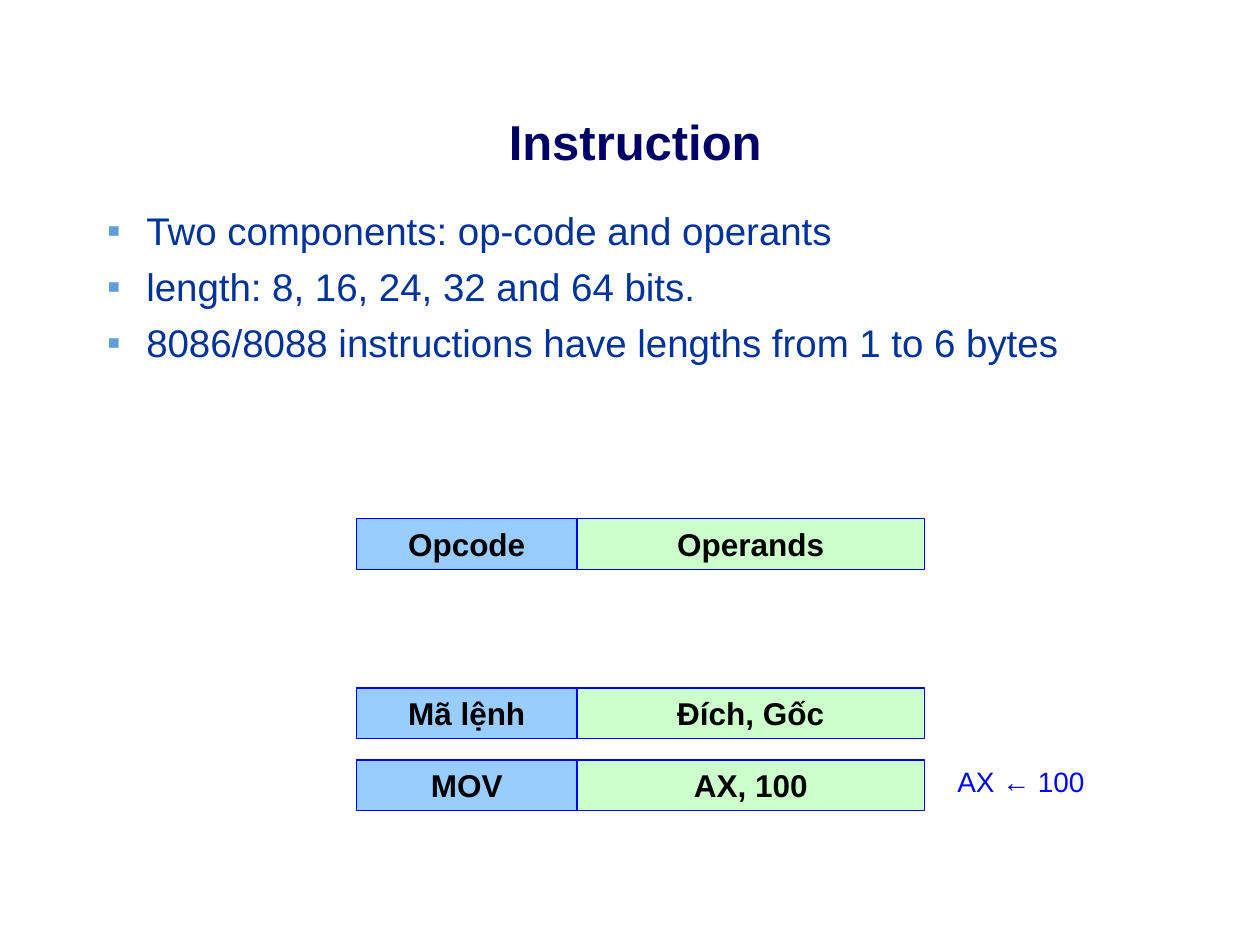
import pptx
import pptx.dml.color
import pptx.enum.shapes
import pptx.enum.text
import pptx.oxml.ns
import pptx.util
from lxml import etree
from pptx.util import Cm, Pt

ANCHOR = pptx.enum.text.MSO_ANCHOR
ALIGN = pptx.enum.text.PP_ALIGN

TITLE_FORMAT = {"name": "Arial", "size": Pt(28), "bold": True}
BULLET_FORMAT = {"name": "Arial", "size": Pt(22), "bold": False}
CELL_FORMAT = {"name": "Arial", "size": Pt(18), "bold": True}
NOTE_FORMAT = {"name": "Arial", "size": Pt(16), "bold": False}

BULLETS = [
    "Two components: op-code and operants",
    "length: 8, 16, 24, 32 and 64 bits.",
    "8086/8088 instructions have lengths from 1 to 6 bytes",
]

# Top in cm, opcode text, operand text
INSTRUCTION_ROWS = [
    (10.46, "Opcode", "Operands"),
    (13.87, "Mã lệnh", "Đích, Gốc"),
    (15.32, "MOV", "AX, 100"),
]
OPCODE_LEFT, OPCODE_WIDTH, OPERAND_WIDTH, ROW_HEIGHT = 7.19, 4.44, 7.01, 1.02


def rgb(value):
    return pptx.dml.color.RGBColor.from_string(value)


def write(para, text, font_format, color, align=ALIGN.LEFT):
    para.alignment = align
    span = para.add_run()
    span.text = text
    for name, value in font_format.items():
        setattr(span.font, name, value)
    span.font.color.rgb = rgb(color)


def add_title(page, text):
    title = page.shapes.title
    place = {"left": Cm(0.64), "top": Cm(2.11), "width": Cm(24.33), "height": Cm(1.45)}
    for name, value in place.items():
        setattr(title, name, value)
    title.text_frame.vertical_anchor = ANCHOR.MIDDLE
    write(title.text_frame.paragraphs[0], text, TITLE_FORMAT, "000066", ALIGN.CENTER)


def add_text_box(page, left, top, width, height):
    box = page.shapes.add_textbox(Cm(left), Cm(top), Cm(width), Cm(height))
    box.text_frame.word_wrap = True
    return box.text_frame


def set_bullet(para, character, color):
    properties = para._p.get_or_add_pPr()
    properties.set("marL", str(Cm(2.06)))
    properties.set("indent", str(-Cm(0.79)))
    qn = pptx.oxml.ns.qn
    bullet_color = etree.SubElement(properties, qn("a:buClr"))
    etree.SubElement(bullet_color, qn("a:srgbClr"), val=color)
    etree.SubElement(properties, qn("a:buFont"), typeface="Arial")
    etree.SubElement(properties, qn("a:buChar"), char=character)


def add_bullets(page, texts):
    frame = add_text_box(page, 0.64, 4.05, 24.33, 6.15)
    for index, text in enumerate(texts):
        para = frame.add_paragraph() if index else frame.paragraphs[0]
        set_bullet(para, "▪", "5E9CDA")
        if index:
            para.space_before = Pt(5.5)
        write(para, text, BULLET_FORMAT, "003399")


def add_cell(page, left, top, width, text, fill):
    cell = page.shapes.add_shape(
        pptx.enum.shapes.MSO_SHAPE.RECTANGLE,
        Cm(left), Cm(top), Cm(width), Cm(ROW_HEIGHT))
    cell.shadow.inherit = False
    cell.fill.solid()
    cell.fill.fore_color.rgb = rgb(fill)
    cell.line.color.rgb = rgb("0000FF")
    cell.line.width = Pt(0.75)
    cell.text_frame.word_wrap = True
    cell.text_frame.vertical_anchor = ANCHOR.MIDDLE
    write(cell.text_frame.paragraphs[0], text, CELL_FORMAT, "000000", ALIGN.CENTER)


def main():
    deck = pptx.Presentation()
    deck.slide_width, deck.slide_height = Cm(25.4), Cm(19.05)
    page = deck.slides.add_slide(deck.slide_layouts[5])

    # Heading and key facts
    add_title(page, "Instruction")
    add_bullets(page, BULLETS)

    # Instruction formats: opcode followed by operands
    for top, opcode, operands in INSTRUCTION_ROWS:
        add_cell(page, OPCODE_LEFT, top, OPCODE_WIDTH, opcode, "99CCFF")
        add_cell(page, OPCODE_LEFT + OPCODE_WIDTH, top, OPERAND_WIDTH, operands, "CCFFCC")

    # Effect of the example instruction
    note = add_text_box(page, 19.05, 15.29, 4.65, 0.94)
    write(note.paragraphs[0], "AX ← 100", NOTE_FORMAT, "0000FF")

    deck.save("out.pptx")


if __name__ == "__main__":
    main()
